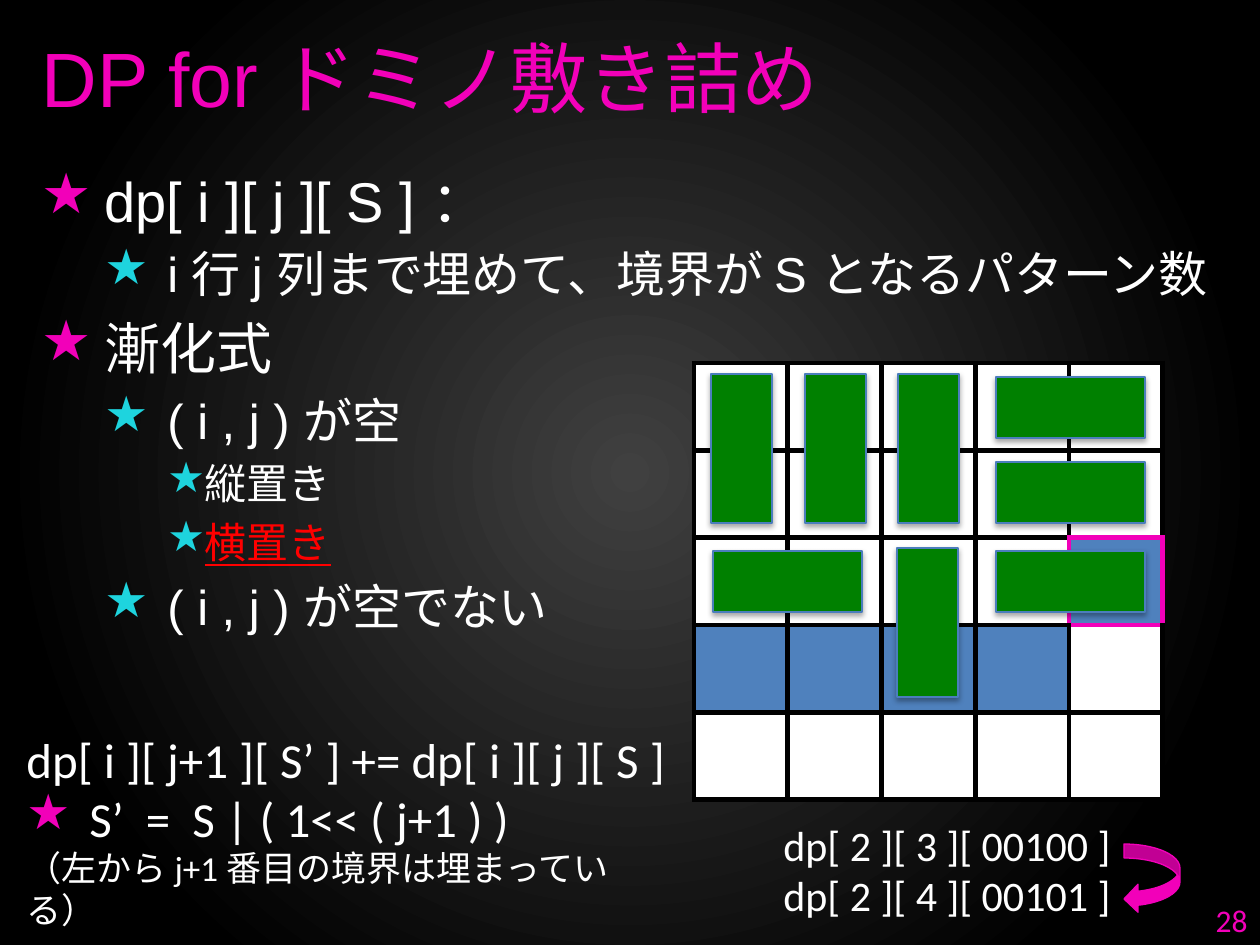
from lxml import etree
from pptx import Presentation
from pptx import util as u
from pptx.dml import color
from pptx.enum import shapes, text
from pptx.oxml import ns, parse_xml

SCALE = 914400 / 126
COLORS = {
    "pink": "F200B9", "cyan": "1ED4DE", "white": "FFFFFF", "black": "000000",
    "red": "FF0000", "green": "008000", "blue": "4F81BD", "edge": "4B7EBC",
    "glow": "404040",
}


def px(length):
    return u.Emu(round(length * SCALE))


def rgb(name):
    return color.RGBColor.from_string(COLORS[name])


def xml(tag, body="", attributes=""):
    return parse_xml(f'<a:{tag} {ns.nsdecls("a")} {attributes}>{body}</a:{tag}>')


def solid(name):
    return f'<a:srgbClr val="{COLORS[name]}"/>'


class SlideBuilder:
    def __init__(self, page):
        self.page = page

    def background(self):
        """Fill the page with a radial glow, lightest in the middle."""
        self.page.background.fill.gradient()
        old = self.page.element.xpath(".//p:bgPr/a:gradFill")[0]
        stops = "".join(f'<a:gs pos="{at}">{solid(name)}</a:gs>'
                        for at, name in ((0, "glow"), (80000, "black"), (100000, "black")))
        center = '<a:fillToRect l="50000" t="50000" r="50000" b="50000"/>'
        fill = xml("gradFill", f'<a:gsLst>{stops}</a:gsLst>'
                   f'<a:path path="circle">{center}</a:path>', 'rotWithShape="1"')
        old.getparent().replace(old, fill)

    def text_box(self, left, top, width, height, anchor=text.MSO_ANCHOR.TOP):
        box = self.page.shapes.add_textbox(px(left), px(top), px(width), px(height))
        frame = box.text_frame
        frame.word_wrap = True
        frame.vertical_anchor = anchor
        return frame

    def paragraph(self, frame, words, size, tint="white", font="Calibri",
                  underline=False, align=text.PP_ALIGN.LEFT):
        para = frame.paragraphs[0]
        if para.runs:
            para = frame.add_paragraph()
        para.alignment = align
        span = para.add_run()
        span.text = words
        span.font.size = u.Pt(size)
        span.font.name = font
        span.font.color.rgb = rgb(tint)
        if underline:
            span.font.underline = True
        return para

    def bullet(self, para, tint, margin=63, hanging=63, space=0):
        """Give a paragraph a star; space is a percentage of its line."""
        props = para._p.get_or_add_pPr()
        props.set("marL", str(px(margin)))
        props.set("indent", str(-px(hanging)))
        if space:
            props.append(xml("spcBef", f'<a:spcPct val="{space * 1000}"/>'))
        props.append(xml("buClr", solid(tint)))
        props.append(xml("buChar", attributes='char="★"'))

    def shape(self, kind, left, top, width, height, fill, line, rotation=0):
        shape = self.page.shapes.add_shape(kind, px(left), px(top), px(width), px(height))
        shape.rotation = rotation
        shape.fill.solid()
        shape.fill.fore_color.rgb = rgb(fill)
        shape.line.color.rgb = rgb(line)
        shape.line.width = u.Pt(0.75)
        shape.shadow.inherit = False
        effects = shape.element.xpath("./p:spPr/a:effectLst")[0]
        effects.append(xml(
            "outerShdw",
            f'<a:srgbClr val="{COLORS["black"]}"><a:alpha val="35000"/></a:srgbClr>',
            'blurRad="40000" dist="23000" dir="5400000" rotWithShape="0"'))

    def border(self, cell, side, tint):
        line = xml(side, f"<a:solidFill>{solid(tint)}</a:solidFill>", f'w="{u.Pt(3)}"')
        props = cell._tc.get_or_add_tcPr()
        fill = props.find(ns.qn("a:solidFill"))
        fill.addprevious(line)

    def board(self, left, top, width, height, size, frontier, current):
        """Draw a square board whose current cell is outlined in pink."""
        table = self.page.shapes.add_table(
            size, size, px(left), px(top), px(width), px(height)).table
        table.first_row = table.horz_banding = False
        sides = {"lnL": (0, -1), "lnR": (0, 1), "lnT": (-1, 0), "lnB": (1, 0)}
        for row in range(size):
            for column in range(size):
                cell = table.cell(row, column)
                cell.fill.solid()
                cell.fill.fore_color.rgb = rgb(
                    "blue" if (row, column) in frontier else "white")
                for side, (down, right) in sides.items():
                    touching = ((row, column), (row + down, column + right))
                    self.border(cell, side, "pink" if current in touching else "black")


def main():
    deck = Presentation()
    deck.slide_width, deck.slide_height = px(1260), px(945)
    slide = SlideBuilder(deck.slides.add_slide(deck.slide_layouts[6]))
    slide.background()

    title = slide.text_box(29, 16, 1205, 121, text.MSO_ANCHOR.MIDDLE)
    slide.paragraph(title, "DP for ドミノ敷き詰め", 44, "pink", "Arial")

    levels = [(32, "pink", 63, 63), (28, "cyan", 126, 63), (24, "cyan", 158, 32)]
    outline = [
        (0, "dp[ i ][ j ][ S ] ："),
        (1, "i 行 j 列まで埋めて、境界が S となるパターン数"),
        (0, "漸化式"),
        (1, "( i , j ) が空"),
        (2, "縦置き"),
        (2, "横置き"),
        (1, "( i , j ) が空でない"),
    ]
    body = slide.text_box(29, 160, 1205, 716)
    for level, words in outline:
        size, star, margin, hanging = levels[level]
        chosen = words == "横置き"
        para = slide.paragraph(body, words, size, "red" if chosen else "white",
                               "Arial", chosen)
        para.level = level
        slide.bullet(para, star, margin, hanging, 20)

    number = slide.text_box(966, 895, 294, 50, text.MSO_ANCHOR.MIDDLE)
    slide.paragraph(number, "28", 18, "pink", align=text.PP_ALIGN.RIGHT)

    current = (2, 4)
    frontier = {current} | {(3, column) for column in range(4)}
    slide.board(694, 363, 469, 437, 5, frontier, current)

    upright = [(711, 374), (805, 374), (898, 374), (897, 548)]
    lying = [(757, 507), (1040, 333), (1040, 418), (1040, 507)]
    for rotation, places in ((0, upright), (90, lying)):
        for left, top in places:
            slide.shape(shapes.MSO_SHAPE.RECTANGLE, left, top, 61, 149,
                        "green", "edge", rotation)

    formula = slide.text_box(14, 723, 675, 174)
    slide.paragraph(formula, "dp[ i ][ j+1 ][ S’ ] += dp[ i ][ j ][ S ]", 28)
    slide.bullet(slide.paragraph(formula, "S’  =  S | ( 1<< ( j+1 ) )", 28), "pink")
    slide.paragraph(formula, "（左から j+1 番目の境界は埋まっている）", 20)

    example = slide.text_box(771, 813, 357, 115)
    for words in ("dp[ 2 ][ 3 ][ 00100 ]", "dp[ 2 ][ 4 ][ 00101 ]"):
        slide.paragraph(example, words, 24)
    slide.shape(shapes.MSO_SHAPE.CURVED_LEFT_ARROW, 1124, 844, 56, 69, "pink", "pink")

    deck.save("out.pptx")


if __name__ == "__main__":
    main()
